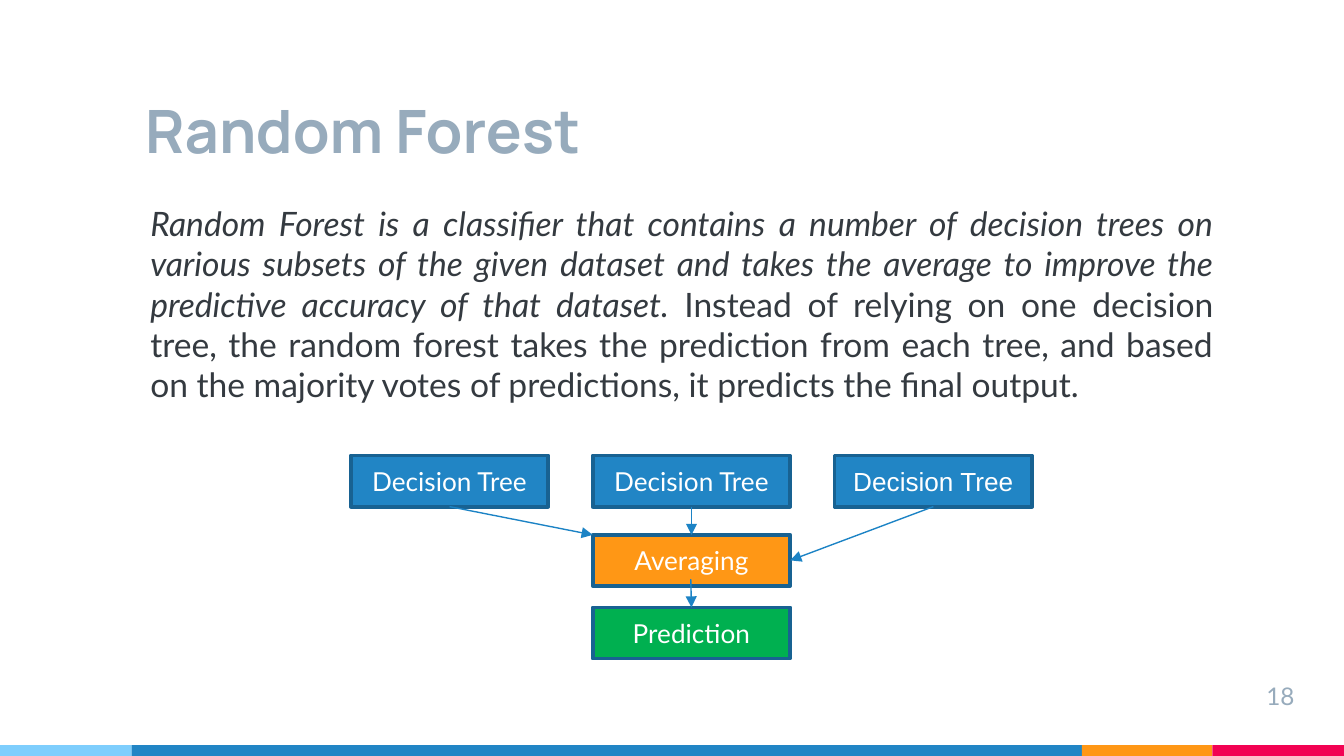
from pptx import Presentation
from pptx.dml.color import RGBColor
from pptx.enum.shapes import MSO_CONNECTOR, MSO_SHAPE
from pptx.enum.text import MSO_ANCHOR, MSO_AUTO_SIZE, PP_ALIGN
from pptx.oxml.ns import qn
from pptx.util import Inches, Pt
from lxml.etree import SubElement

SLIDE_WIDTH = 10
SLIDE_HEIGHT = SLIDE_WIDTH * 9 / 16
COLORS = {
    "sky": "7ECEFD", "blue": "2185C5", "orange": "FF9715", "pink": "F20253",
    "green": "00B050", "outline": "186292", "arrow": "1C83C5",
    "heading": "97ABBC", "body": "343A40", "white": "FFFFFF",
}
TITLE = "Random Forest"
PAGE_NUMBER = "18"
DEFINITION = (
    "Random Forest is a classifier that contains a number of decision trees on various "
    "subsets of the given dataset and takes the average to improve the predictive "
    "accuracy of that dataset. "
)
EXPLANATION = (
    "Instead of relying on one decision tree, the random forest takes the prediction from "
    "each tree, and based on the majority votes of predictions, it predicts the final output."
)
FOOTER_BANDS = [("sky", 0.98), ("blue", 7.07), ("orange", 0.97), ("pink", 0.98)]
FOOTER_HEIGHT = 0.08

BOX_WIDTH, BOX_HEIGHT = 1.47, 0.38
FIRST_COLUMN, COLUMN_STEP = 2.61, 1.8
BOXES = {
    "left tree": ("Decision Tree", 0, 3.39, "blue", "Lato"),
    "middle tree": ("Decision Tree", 1, 3.39, "blue", "Lato"),
    "right tree": ("Decision Tree", 2, 3.39, "blue", "Arial"),
    "averaging": ("Averaging", 1, 3.98, "orange", "Lato"),
    "prediction": ("Prediction", 1, 4.52, "green", "Lato"),
}
TOP, BOTTOM, RIGHT = 0, 2, 3
ARROWS = [
    ("left tree", BOTTOM, "averaging", None, (3.33, 3.77), (4.41, 3.98)),
    ("middle tree", BOTTOM, "averaging", TOP, (5.14, 3.77), (5.14, 3.98)),
    ("right tree", BOTTOM, "averaging", RIGHT, (6.94, 3.77), (5.88, 4.17)),
    ("averaging", None, "prediction", TOP, (5.14, 4.31), (5.14, 4.52)),
]


def apply(target, **values):
    for name, value in values.items():
        setattr(target, name, value)


def color(name):
    return RGBColor.from_string(COLORS[name])


def place(shape, left, top, width, height):
    apply(shape, left=Inches(left), top=Inches(top),
          width=Inches(width), height=Inches(height))


def format_frame(frame, anchor, margin=0.1):
    inset = Inches(margin)
    apply(frame, word_wrap=True, auto_size=MSO_AUTO_SIZE.NONE, vertical_anchor=anchor,
          margin_left=inset, margin_right=inset, margin_top=inset, margin_bottom=inset)


def add_run(paragraph, text, size, color_name, font="Lato", **style):
    run = paragraph.add_run()
    run.text = text
    apply(run.font, size=Pt(size), name=font, **style)
    run.font.color.rgb = color(color_name)


def add_text_box(slide, left, top, width, height):
    shape = slide.shapes.add_textbox(*map(Inches, (left, top, width, height)))
    format_frame(shape.text_frame, MSO_ANCHOR.TOP)
    return shape.text_frame.paragraphs[0]


def add_rectangle(slide, left, top, width, height, fill):
    shape = slide.shapes.add_shape(
        MSO_SHAPE.RECTANGLE, *map(Inches, (left, top, width, height)))
    shape.shadow.inherit = False
    shape.fill.solid()
    shape.fill.fore_color.rgb = color(fill)
    shape.line.fill.background()
    return shape


def add_footer(slide):
    left = 0
    for fill, width in FOOTER_BANDS:
        add_rectangle(slide, left, SLIDE_HEIGHT - FOOTER_HEIGHT, width, FOOTER_HEIGHT, fill)
        left += width


def add_title(slide):
    title = slide.shapes.title
    place(title, 0.98, 0.39, 7.07, 0.94)
    format_frame(title.text_frame, MSO_ANCHOR.BOTTOM)
    paragraph = title.text_frame.paragraphs[0]
    paragraph.alignment = PP_ALIGN.LEFT
    add_run(paragraph, TITLE, 32, "heading", "Manrope", bold=True)


def add_body(slide):
    paragraph = add_text_box(slide, 0.9, 1.41, 8.23, 3.88)
    apply(paragraph, alignment=PP_ALIGN.JUSTIFY, space_before=Pt(6))
    properties = paragraph._p.get_or_add_pPr()
    properties.set("marL", str(Inches(0.12)))
    properties.set("indent", "0")
    add_run(paragraph, DEFINITION, 18, "body", italic=True)
    add_run(paragraph, EXPLANATION, 18, "body", italic=False)


def add_page_number(slide):
    paragraph = add_text_box(slide, 9.13, 4.97, 0.6, 0.34)
    paragraph.alignment = PP_ALIGN.RIGHT
    add_run(paragraph, PAGE_NUMBER, 13, "heading")


def add_box(slide, text, column, top, fill, font):
    left = FIRST_COLUMN + column * COLUMN_STEP
    shape = add_rectangle(slide, left, top, BOX_WIDTH, BOX_HEIGHT, fill)
    shape.line.color.rgb = color("outline")
    shape.line.width = Pt(2)
    format_frame(shape.text_frame, MSO_ANCHOR.MIDDLE, 0.05)
    paragraph = shape.text_frame.paragraphs[0]
    paragraph.alignment = PP_ALIGN.CENTER
    add_run(paragraph, text, 14, "white", font)
    return shape


def add_arrow(slide, boxes, source, source_side, target, target_side, start, end):
    connector = slide.shapes.add_connector(
        MSO_CONNECTOR.STRAIGHT, *map(Inches, start + end))
    if source_side is not None:
        connector.begin_connect(boxes[source], source_side)
    if target_side is not None:
        connector.end_connect(boxes[target], target_side)
    connector.line.color.rgb = color("arrow")
    connector.line.width = Pt(0.75)
    SubElement(connector.line._get_or_add_ln(), qn("a:tailEnd"), type="triangle")
    SubElement(connector._element.spPr, qn("a:effectLst"))


def main():
    presentation = Presentation()
    apply(presentation, slide_width=Inches(SLIDE_WIDTH), slide_height=Inches(SLIDE_HEIGHT))
    slide = presentation.slides.add_slide(presentation.slide_layouts[5])
    add_footer(slide)
    add_title(slide)
    add_page_number(slide)
    add_body(slide)
    boxes = {name: add_box(slide, *content) for name, content in BOXES.items()}
    for arrow in ARROWS:
        add_arrow(slide, boxes, *arrow)
    presentation.save("out.pptx")


if __name__ == "__main__":
    main()
